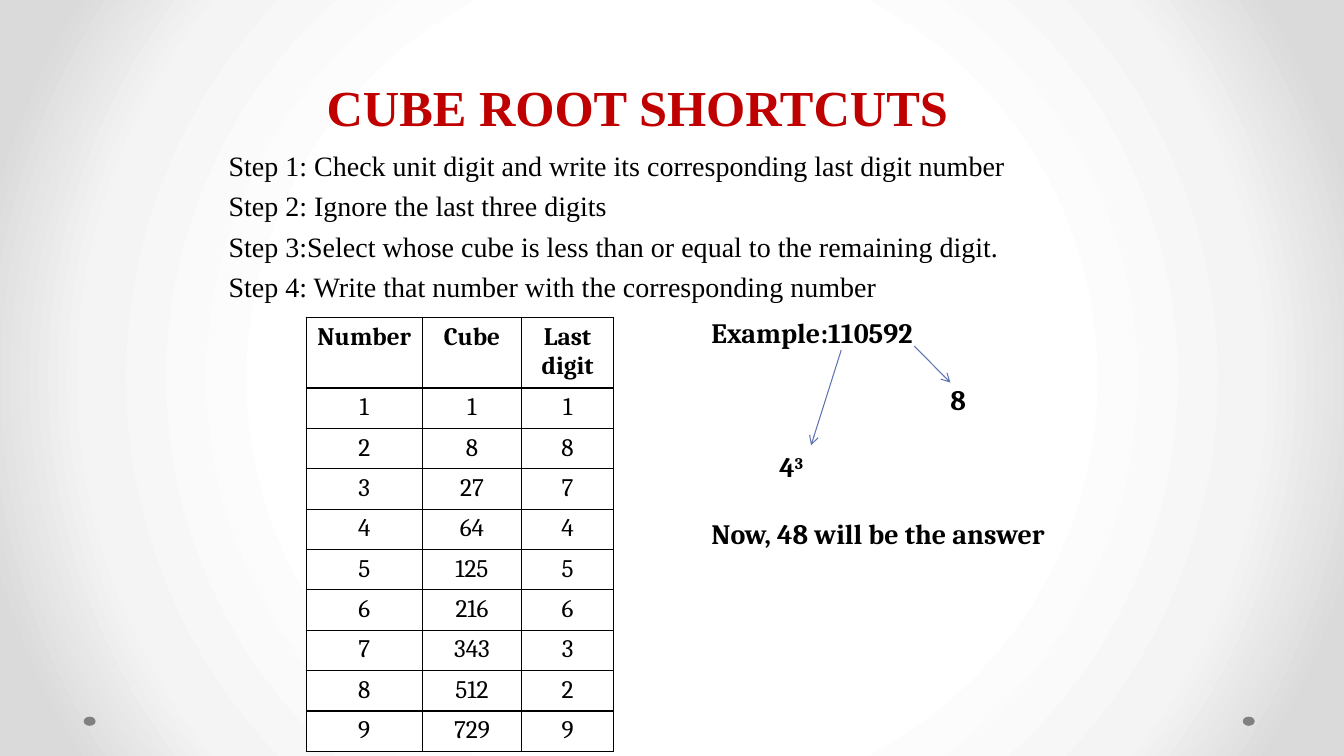
from pptx import Presentation
from pptx.dml.color import RGBColor
from pptx.enum.shapes import MSO_CONNECTOR as Connector, MSO_SHAPE as Shape
from pptx.enum.text import MSO_ANCHOR as Anchor, PP_ALIGN as Align
from pptx.oxml import parse_xml
from pptx.oxml.ns import nsdecls
from pptx.util import Cm, Pt

BLACK = RGBColor(0x00, 0x00, 0x00)
WHITE = RGBColor(0xFF, 0xFF, 0xFF)
RED = RGBColor(0xC0, 0x00, 0x00)
GREY = RGBColor(0x80, 0x80, 0x80)
BLUE = RGBColor(0x5C, 0x72, 0xB2)
GLOW = ((50, WHITE), (76, RGBColor(0xF4, 0xF4, 0xF4)), (92, RGBColor(0xDA, 0xDA, 0xDA)))

STEPS = (
    "Step 1: Check unit digit and write its corresponding last digit number",
    "Step 2: Ignore the last three digits",
    "Step 3:Select whose cube is less than or equal to the remaining digit.",
    "Step 4: Write that number with the corresponding number",
)


def write(para, text, font="Cambria", size=20, color=BLACK, bold=False, raised=False):
    span = para.add_run()
    span.text = text
    span.font.name = font
    span.font.size = Pt(size)
    span.font.color.rgb = color
    span.font.bold = bold
    if raised:
        span.font._element.set("baseline", "30000")


class CubeRootPage:
    serif = "Times New Roman"

    def __init__(self, deck):
        self.page = deck.slides.add_slide(deck.slide_layouts[6])
        self.shapes = self.page.shapes

    def background(self, stops):
        fill = self.page.background.fill
        fill.solid()
        marks = "".join(
            f'<a:gs pos="{place * 1000}"><a:srgbClr val="{color}"/></a:gs>'
            for place, color in stops)
        gradient = parse_xml(
            f'<a:gradFill {nsdecls("a")} rotWithShape="1"><a:gsLst>{marks}</a:gsLst>'
            '<a:path path="circle"><a:fillToRect l="50000" t="50000" r="50000" b="50000"/>'
            '</a:path></a:gradFill>')
        properties = self.page.background._cSld.bg.bgPr
        properties.replace(properties[0], gradient)

    def dot(self, left, top):
        dot = self.shapes.add_shape(Shape.OVAL, Cm(left), Cm(top), Cm(0.3), Cm(0.23))
        dot.shadow.inherit = False
        dot.fill.solid()
        dot.fill.fore_color.rgb = GREY
        dot.line.fill.background()

    def text_box(self, left, top, width, height, anchor=Anchor.TOP):
        box = self.shapes.add_textbox(Cm(left), Cm(top), Cm(width), Cm(height))
        box.text_frame.word_wrap = True
        box.text_frame.vertical_anchor = anchor
        return box.text_frame

    def paragraph(self, frame, text, space=0, indent=0, **style):
        para = frame.paragraphs[0]
        if para.runs:
            para = frame.add_paragraph()
            para.space_before = Pt(space)
        if indent:
            para._p.get_or_add_pPr().set("marL", str(Cm(indent)))
        write(para, text, **style)
        return para

    def table(self, left, top, widths, heights, rows):
        frame = self.shapes.add_table(len(rows), len(widths), Cm(left), Cm(top),
                                      Cm(sum(widths)), Cm(sum(heights)))
        table = frame.table
        table.horz_banding = False
        for column, width in zip(table.columns, widths):
            column.width = Cm(width)
        for number, (row, height, values) in enumerate(zip(table.rows, heights, rows)):
            row.height = Cm(height)
            for cell, value in zip(row.cells, values):
                self.cell(cell, str(value), bold=number == 0)

    def cell(self, cell, text, bold):
        properties = cell._tc.get_or_add_tcPr()
        for side in "LRTB":
            properties.append(parse_xml(
                f'<a:ln{side} {nsdecls("a")} w="{Pt(1)}"><a:solidFill>'
                f'<a:srgbClr val="{BLACK}"/></a:solidFill></a:ln{side}>'))
        cell.fill.solid()
        cell.fill.fore_color.rgb = WHITE
        para = cell.text_frame.paragraphs[0]
        para.alignment = Align.CENTER
        write(para, text, size=18, bold=bold)

    def arrow(self, *ends):
        arrow = self.shapes.add_connector(Connector.STRAIGHT, *(Cm(end) for end in ends))
        arrow.line.color.rgb = BLUE
        arrow.line.width = Pt(0.75)
        arrow.line._get_or_add_ln().append(
            parse_xml(f'<a:tailEnd {nsdecls("a")} type="arrow"/>'))
        arrow._element.spPr.append(parse_xml(f'<a:effectLst {nsdecls("a")}/>'))


def main():
    deck = Presentation()
    deck.slide_width, deck.slide_height = Cm(33.87), Cm(19.05)
    page = CubeRootPage(deck)

    # Backdrop
    page.background(GLOW)
    for left in (31.32, 2.11):
        page.dot(left, 18.06)

    # Title
    title = page.text_box(7.98, 1.47, 20, 2.11, Anchor.BOTTOM)
    heading = page.paragraph(title, "CUBE ROOT SHORTCUTS", font=page.serif,
                             size=36, color=RED, bold=True)
    heading.line_spacing = Pt(58)

    # Steps
    steps = page.text_box(5.51, 3.61, 22.86, 4.24)
    for step in STEPS:
        page.paragraph(steps, step, space=5, font=page.serif)

    # Cubes of 1 to 9 and their last digits
    cubes = [(number, number ** 3, number ** 3 % 10) for number in range(1, 10)]
    page.table(7.72, 8, (2.92, 2.51, 2.31), [1.73] + [0.99] * len(cubes),
               [("Number", "Cube", "Last digit")] + cubes)

    # Worked example
    example = page.text_box(17.68, 7.82, 9.1, 7.95)
    page.paragraph(example, "Example:110592", bold=True)
    page.paragraph(example, "8", space=24, indent=6.02, bold=True)
    power = page.paragraph(example, "4", space=24, indent=1.71, bold=True)
    write(power, "3", bold=True, raised=True)
    page.paragraph(example, "Now, 48 will be the answer", space=24, bold=True)
    page.arrow(21.2, 8.82, 20.44, 11.22)
    page.arrow(23.04, 8.72, 23.95, 9.64)

    deck.save("out.pptx")


if __name__ == "__main__":
    main()
